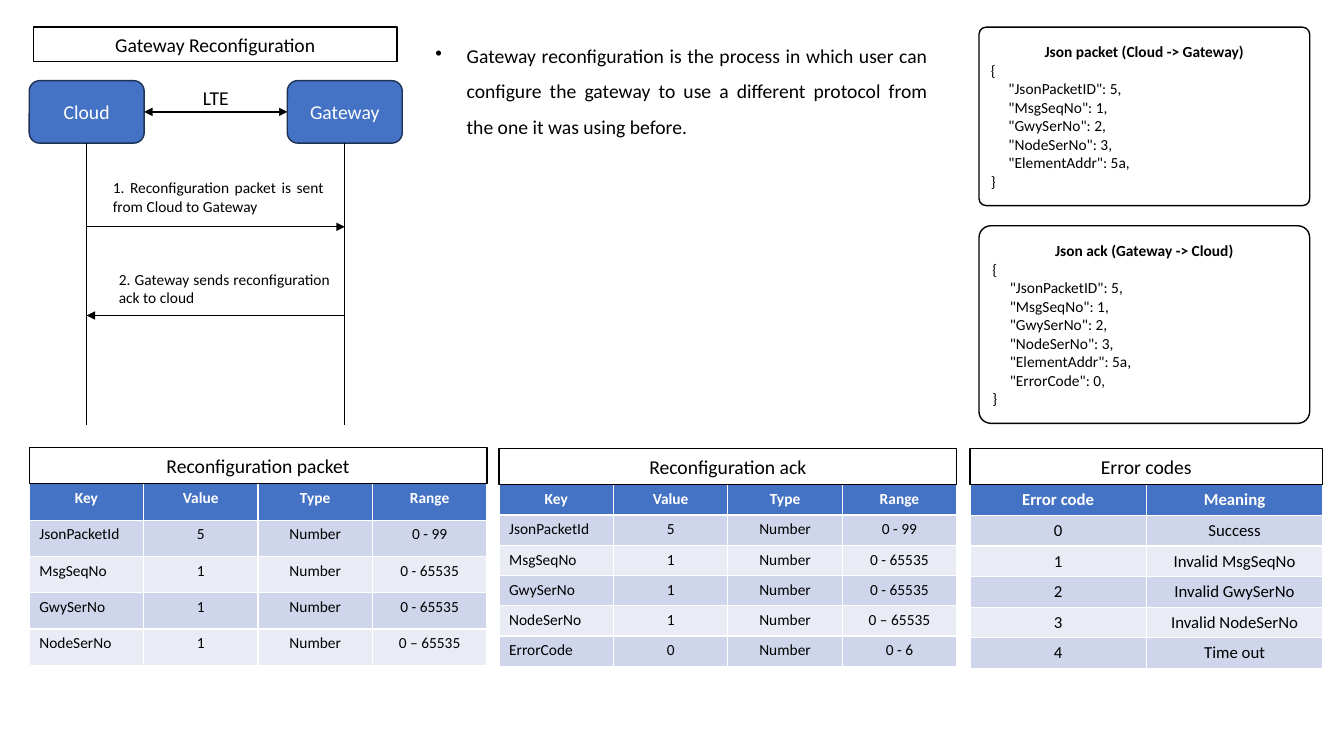
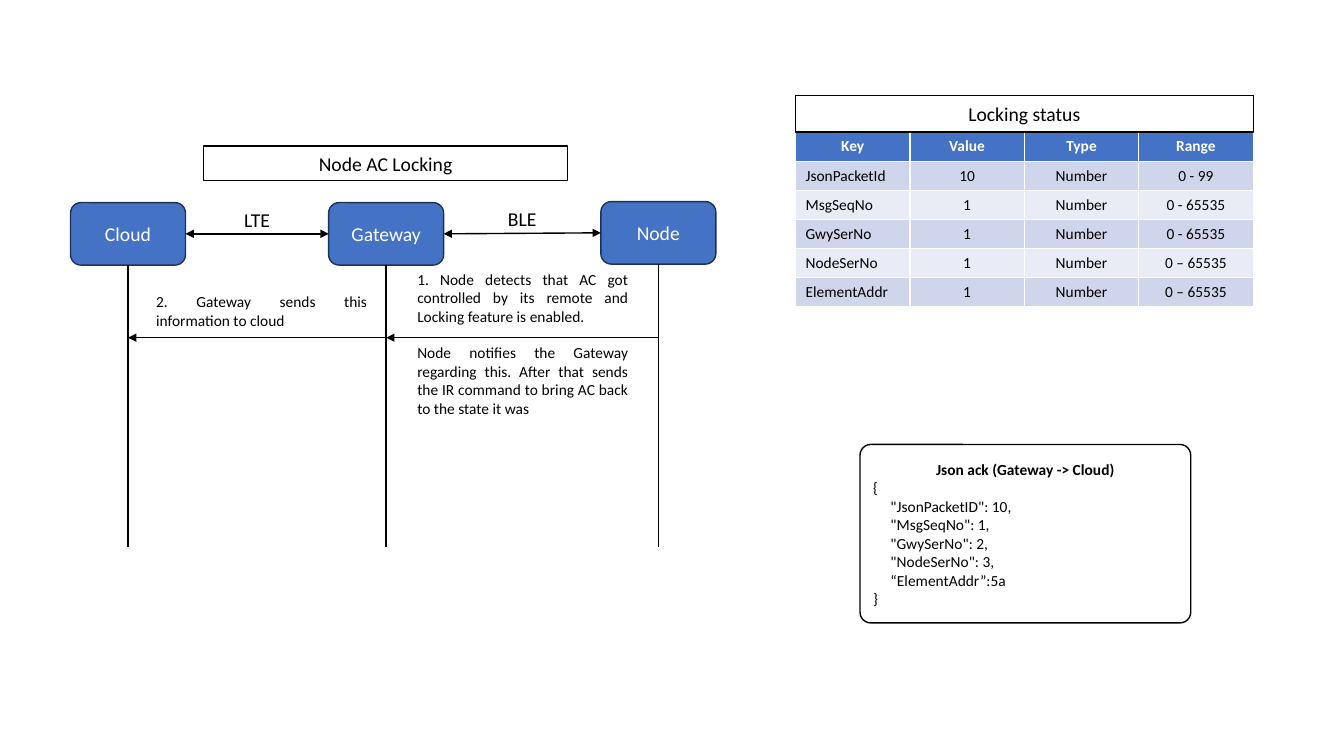
"""Build two protocol slides: gateway reconfiguration and node AC locking."""
from dataclasses import dataclass

from pptx import Presentation
from pptx import util as u
from pptx.dml.color import RGBColor
from pptx.enum import shapes, text
from pptx.oxml import ns, xmlchemy


@dataclass(frozen=True)
class Theme:
    font: str = "Calibri"
    large: int = 14
    medium: int = 12
    small: int = 11
    rule: int = 1
    black: RGBColor = RGBColor.from_string("000000")
    white: RGBColor = RGBColor.from_string("FFFFFF")
    blue: RGBColor = RGBColor.from_string("4472C4")
    navy: RGBColor = RGBColor.from_string("1E3256")
    bands: tuple = (RGBColor.from_string("E9EBF5"), RGBColor.from_string("CFD5EA"))


T = Theme()
LEFT, CENTER, JUSTIFY = text.PP_ALIGN.LEFT, text.PP_ALIGN.CENTER, text.PP_ALIGN.JUSTIFY
RECT, ROUND = shapes.MSO_SHAPE.RECTANGLE, shapes.MSO_SHAPE.ROUNDED_RECTANGLE
TOP_SITE, LEFT_SITE, BOTTOM_SITE, RIGHT_SITE = range(4)

prs = Presentation()
prs.slide_width, prs.slide_height = u.Inches(13.33), u.Inches(7.5)
ROWS = 75
UNIT = prs.slide_height / ROWS
NODE_W, NODE_H = 11.4, 6.2
TITLE_W, TITLE_H = 36.1, 3.4
LABEL_W, NOTE_W, CARD_W = 8.4, 22.9, 32.8
CAPTION_H = 3.6


def write(tf, lines, size, color=T.black, align=CENTER, bold=False):
    tf.word_wrap = True
    for i, line in enumerate(lines):
        p = tf.add_paragraph() if i else tf.paragraphs[0]
        p.text = line
        p.alignment = align
        p.font.name, p.font.size, p.font.bold = T.font, u.Pt(size), bold
        p.font.color.rgb = color


def box(s, kind, area, lines, size=T.large, fill=T.white, line=T.black, color=T.black, align=CENTER):
    frame = [round(v * UNIT) for v in area]
    if kind is None:
        sp = s.shapes.add_textbox(*frame)
    else:
        sp = s.shapes.add_shape(kind, *frame)
        sp.shadow.inherit = False
        sp.fill.solid()
        sp.fill.fore_color.rgb = fill
        sp.line.color.rgb = line
        sp.line.width = u.Pt(T.rule)
        sp.text_frame.vertical_anchor = text.MSO_ANCHOR.MIDDLE
    write(sp.text_frame, lines, size, color, align)
    return sp


KEYS = ("Key", "Value", "Type", "Range")
SERIALS = [
    ("MsgSeqNo", "1", "Number", "0 - 65535"),
    ("GwySerNo", "1", "Number", "0 - 65535"),
    ("NodeSerNo", "1", "Number", "0 – 65535"),
]
PACKET = [("JsonPacketId", "5", "Number", "0 - 99")] + SERIALS
ACK = PACKET + [("ErrorCode", "0", "Number", "0 - 6")]
LOCKING = [("JsonPacketId", "10", "Number", "0 - 99")] + SERIALS + [
    ("ElementAddr", "1", "Number", "0 – 65535")]
ERRORS = [("0", "Success"), ("1", "Invalid MsgSeqNo"), ("2", "Invalid GwySerNo"),
          ("3", "Invalid NodeSerNo"), ("4", "Time out")]
JSON_SERIALS = ['"MsgSeqNo": 1,', '"GwySerNo": 2,', '"NodeSerNo": 3,']
JSON_PACKET = ['"JsonPacketID": 5,'] + JSON_SERIALS + ['"ElementAddr": 5a,']

slides = [
    dict(
        title=("Gateway Reconfiguration", 3.3, 2.7),
        nodes=[("Cloud", 2.9, 8), ("Gateway", 28.5, 8)],
        links=["LTE"],
        life_end=42.2,
        messages=[(0, 1, 22.5), (1, 0, 31.3)],
        notes=[
            (10.2, 17.2, 4.7, "1. Reconfiguration packet is sent from Cloud to Gateway"),
            (10.8, 26.3, 4.7, "2. Gateway sends reconfiguration ack to cloud"),
        ],
        bullets=["Gateway reconfiguration is the process in which user can configure the gateway "
                 "to use a different protocol from the one it was using before."],
        tables=[
            ("Reconfiguration packet", 2.9, 48, 45.4, 3.6, T.small, KEYS, PACKET),
            ("Reconfiguration ack", 49.5, 48.1, 45.4, 3, T.small, KEYS, ACK),
            ("Error codes", 96.2, 48.1, 35, 3, T.medium, ("Error code", "Meaning"), ERRORS),
        ],
        cards=[
            ("Json packet (Cloud -> Gateway)", 97.1, 2.7, 17.7, 0.04, JSON_PACKET),
            ("Json ack (Gateway -> Cloud)", 97.1, 22.4, 19.6, 0.06, JSON_PACKET + ['"ErrorCode": 0,']),
        ],
    ),
    dict(
        title=("Node AC Locking", 20.2, 14.5),
        nodes=[("Cloud", 7, 20.1), ("Gateway", 32.6, 20.1), ("Node", 59.6, 20)],
        links=["LTE", "BLE"],
        life_end=54.3,
        messages=[(2, 1, 33.5), (1, 0, 33.5)],
        notes=[
            (40.4, 26.3, 6.6, "1. Node detects that AC got controlled by its remote and "
                              "Locking feature is enabled."),
            (14.5, 28.5, 4.7, "2. Gateway sends this information to cloud"),
            (40.4, 33.6, 8.4, "Node notifies the Gateway regarding this. After that sends the "
                              "IR command to bring AC back to the state it was"),
        ],
        bullets=[],
        tables=[("Locking status", 78.9, 13.1, 45.4, 2.8, T.small, KEYS, LOCKING)],
        cards=[("Json ack (Gateway -> Cloud)", 85.3, 44.1, 17.7, 0.06,
                ['"JsonPacketID": 10,'] + JSON_SERIALS + ['“ElementAddr”:5a'])],
    ),
]

for d in slides:
    s = prs.slides.add_slide(prs.slide_layouts[6])

    for caption, x, y, w, row_h, size, header, body in d["tables"]:
        rows = [header] + body
        frame = [round(v * UNIT) for v in (x, y, w, row_h * len(rows))]
        table = s.shapes.add_table(len(rows), len(header), *frame).table
        for r, row in enumerate(rows):
            for c, value in enumerate(row):
                cell = table.cell(r, c)
                cell.fill.solid()
                cell.fill.fore_color.rgb = T.bands[r % 2] if r else T.blue
                align = LEFT if r and c == 0 and header == KEYS else CENTER
                write(cell.text_frame, [value], size, T.black if r else T.white, align, r == 0)
        box(s, RECT, (x, y - CAPTION_H, w, CAPTION_H), [caption])

    title, x, y = d["title"]
    box(s, RECT, (x, y, TITLE_W, TITLE_H), [title])

    nodes = [box(s, ROUND, (x, y, NODE_W, NODE_H), [name], fill=T.blue, line=T.navy, color=T.white)
             for name, x, y in d["nodes"]]
    centers = [x + NODE_W / 2 for _, x, _ in d["nodes"]]

    wires = []
    for node, center in zip(nodes, centers):
        wires.append(((center, 0), (center, d["life_end"]), (node, BOTTOM_SITE), None, ()))
    for i, label in enumerate(d["links"]):
        middle = (centers[i] + centers[i + 1]) / 2
        y = d["nodes"][i + 1][2]
        box(s, None, (middle - LABEL_W / 2, y, LABEL_W, TITLE_H), [label])
        wires.append(((0, 0), (0, 0), (nodes[i], RIGHT_SITE), (nodes[i + 1], LEFT_SITE),
                      ("headEnd", "tailEnd")))
    for start, end, y in d["messages"]:
        wires.append(((centers[start], y), (centers[end], y), None, None, ("tailEnd",)))

    for start, end, begin_at, end_at, arrows in wires:
        cx = s.shapes.add_connector(shapes.MSO_CONNECTOR.STRAIGHT,
                                    *[round(v * UNIT) for v in start + end])
        if begin_at:
            cx.begin_connect(*begin_at)
        if end_at:
            cx.end_connect(*end_at)
        cx.line.color.rgb = T.black
        cx.line.width = u.Pt(T.rule)
        props = cx.element.spPr
        for arrow in arrows:
            tip = xmlchemy.OxmlElement(f"a:{arrow}")
            tip.set("type", "triangle")
            props.find(ns.qn("a:ln")).append(tip)
        props.append(xmlchemy.OxmlElement("a:effectLst"))

    for x, y, h, note in d["notes"]:
        box(s, None, (x, y, NOTE_W, h), [note], T.small, align=JUSTIFY)

    for title, x, y, h, corner, fields in d["cards"]:
        lines = [title, "{"] + [f"     {field}" for field in fields] + ["}"]
        sp = box(s, ROUND, (x, y, CARD_W, h), lines, T.small, align=LEFT)
        sp.adjustments[0] = corner
        p = sp.text_frame.paragraphs[0]
        p.alignment, p.font.bold = CENTER, True

    for bullet in d["bullets"]:
        sp = box(s, None, (42.2, 2.7, 50.8, 11.2), [bullet], align=JUSTIFY)
        p = sp.text_frame.paragraphs[0]
        p.line_spacing = 1.5
        indent = u.Inches(0.31)
        props = p._p.get_or_add_pPr()
        props.set("marL", str(indent))
        props.set("indent", str(-indent))
        mark = xmlchemy.OxmlElement("a:buChar")
        mark.set("char", "•")
        props.find(ns.qn("a:defRPr")).addprevious(mark)

prs.save("out.pptx")
